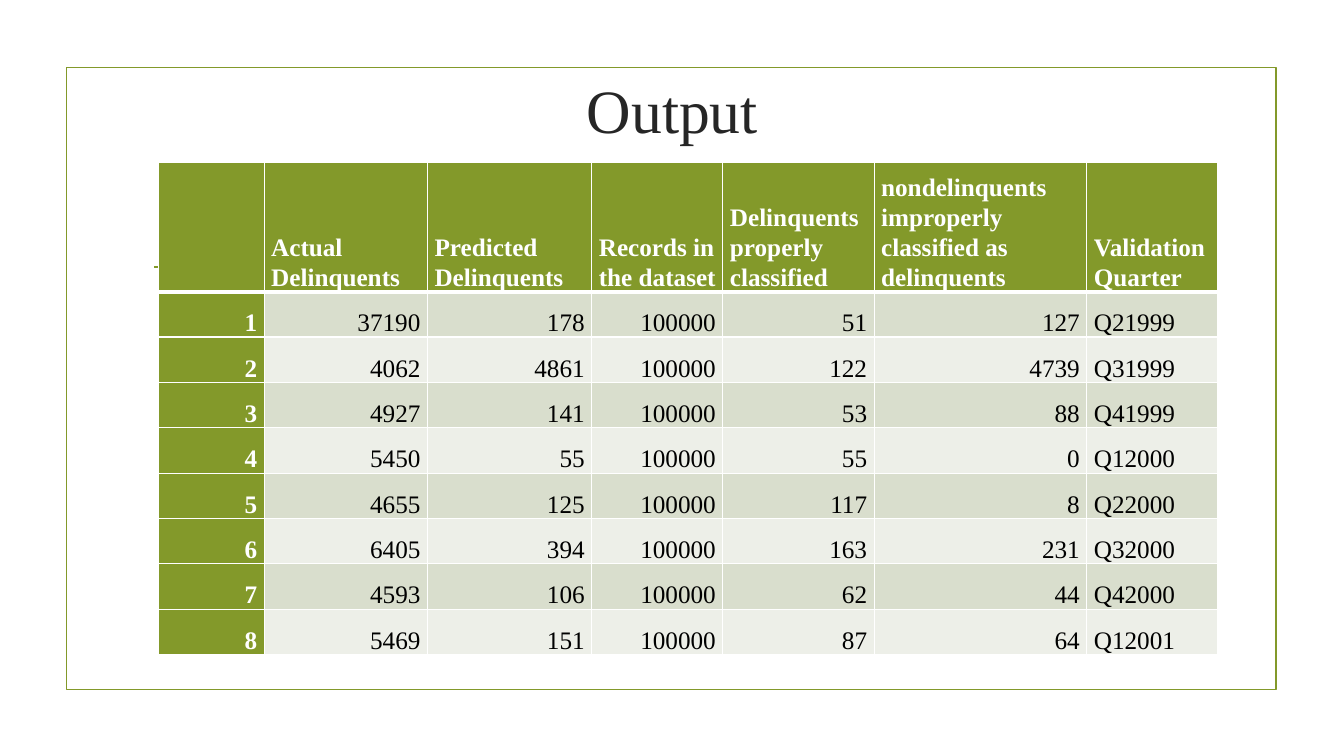
from lxml import etree
from pptx import Presentation
from pptx.dml.color import RGBColor as Rgb
from pptx.enum.shapes import MSO_CONNECTOR as Connector, MSO_SHAPE as Shape
from pptx.enum.text import MSO_ANCHOR as Anchor, PP_ALIGN as Align
from pptx.oxml.ns import qn
from pptx.util import Inches, Pt

COLORS = {"olive": "83992A", "band": "D9DECD", "pale": "EDEFE8",
          "white": "FFFFFF", "ink": "000000", "title": "262626"}
HEADERS = ["", "Actual Delinquents", "Predicted Delinquents", "Records in the dataset",
           "Delinquents properly classified",
           "nondelinquents improperly classified as delinquents", "Validation Quarter"]
RESULTS = [
    (37190, 178, 100000, 51, 127, "Q21999"),
    (4062, 4861, 100000, 122, 4739, "Q31999"),
    (4927, 141, 100000, 53, 88, "Q41999"),
    (5450, 55, 100000, 55, 0, "Q12000"),
    (4655, 125, 100000, 117, 8, "Q22000"),
    (6405, 394, 100000, 163, 231, "Q32000"),
    (4593, 106, 100000, 62, 44, "Q42000"),
    (5469, 151, 100000, 87, 64, "Q12001"),
]
COLUMN_WIDTHS = [1.05, 1.62, 1.63, 1.3, 1.5, 2.11, 1.3]
HEADER_HEIGHT, RESULT_HEIGHT = 1.09, 0.45


class SlideBuilder:
    """Draws styled elements on one slide."""

    font = "Times New Roman"

    def __init__(self, slide):
        self.slide = slide

    def color(self, name):
        return Rgb.from_string(COLORS[name])

    def outline(self, line):
        line.color.rgb = self.color("olive")
        line.width = Pt(1.25)

    def frame(self, left, top, width, height):
        border = self.slide.shapes.add_shape(
            Shape.RECTANGLE, Inches(left), Inches(top), Inches(width), Inches(height))
        border.shadow.inherit = False
        border.fill.background()
        self.outline(border.line)

    def rule(self, left, right, y):
        divider = self.slide.shapes.add_connector(
            Connector.STRAIGHT, Inches(left), Inches(y), Inches(right), Inches(y))
        self.outline(divider.line)
        etree.SubElement(divider._element.spPr, qn("a:effectLst"))

    def text_run(self, paragraph, text, size, color, bold=False, align=Align.LEFT):
        paragraph.alignment = align
        run = paragraph.add_run()
        run.text = text
        run.font.name = self.font
        run.font.size = Pt(size)
        run.font.bold = bold
        run.font.color.rgb = self.color(color)

    def title(self, text, left, top, width, height):
        heading = self.slide.shapes.add_textbox(
            Inches(left), Inches(top), Inches(width), Inches(height)).text_frame
        heading.word_wrap = True
        heading.vertical_anchor = Anchor.MIDDLE
        self.text_run(heading.paragraphs[0], text, 44, "title", align=Align.CENTER)

    def cell_borders(self, cell, top, bottom):
        properties = cell._tc.get_or_add_tcPr()
        for side, points in (("L", 1), ("R", 1), ("T", top), ("B", bottom)):
            edge = etree.SubElement(properties, qn(f"a:ln{side}"), w=str(Pt(points)))
            fill = etree.SubElement(edge, qn("a:solidFill"))
            etree.SubElement(fill, qn("a:srgbClr"), val=COLORS["white"])

    def cell(self, cell, text, row, column):
        is_heading = row == 0 or column == 0
        self.cell_borders(cell, 3 if row == 1 else 1, 3 if row == 0 else 1)
        cell.fill.solid()
        cell.fill.fore_color.rgb = self.color(
            "olive" if is_heading else "band" if row % 2 else "pale")
        cell.vertical_anchor = Anchor.BOTTOM
        cell.margin_left = cell.margin_right = Inches(0.07)
        cell.margin_top = cell.margin_bottom = 0
        if text:
            paragraph = cell.text_frame.paragraphs[0]
            paragraph.line_spacing = 1.07
            is_number = row > 0 and column < len(HEADERS) - 1
            self.text_run(paragraph, text, 18, "white" if is_heading else "ink",
                          is_heading, Align.RIGHT if is_number else Align.LEFT)

    def table(self, rows, left, top):
        heights = [HEADER_HEIGHT] + [RESULT_HEIGHT] * (len(rows) - 1)
        grid = self.slide.shapes.add_table(
            len(rows), len(COLUMN_WIDTHS), Inches(left), Inches(top),
            Inches(sum(COLUMN_WIDTHS)), Inches(sum(heights))).table
        grid.first_col = True
        for column, width in zip(grid.columns, COLUMN_WIDTHS):
            column.width = Inches(width)
        for row, (values, height) in enumerate(zip(rows, heights)):
            grid.rows[row].height = Inches(height)
            for column, value in enumerate(values):
                self.cell(grid.cell(row, column), str(value), row, column)


def main():
    deck = Presentation()
    deck.slide_width, deck.slide_height = Inches(13.33), Inches(7.5)
    output = SlideBuilder(deck.slides.add_slide(deck.slide_layouts[6]))
    output.frame(0.66, 0.67, 12, 6.17)
    output.rule(1.53, 11.81, 2.65)
    output.title("Output", 1.42, 0.37, 10.5, 1.43)
    numbered = [(number, *result) for number, result in enumerate(RESULTS, 1)]
    output.table([HEADERS, *numbered], 1.57, 1.61)
    deck.save("out.pptx")


if __name__ == "__main__":
    main()
